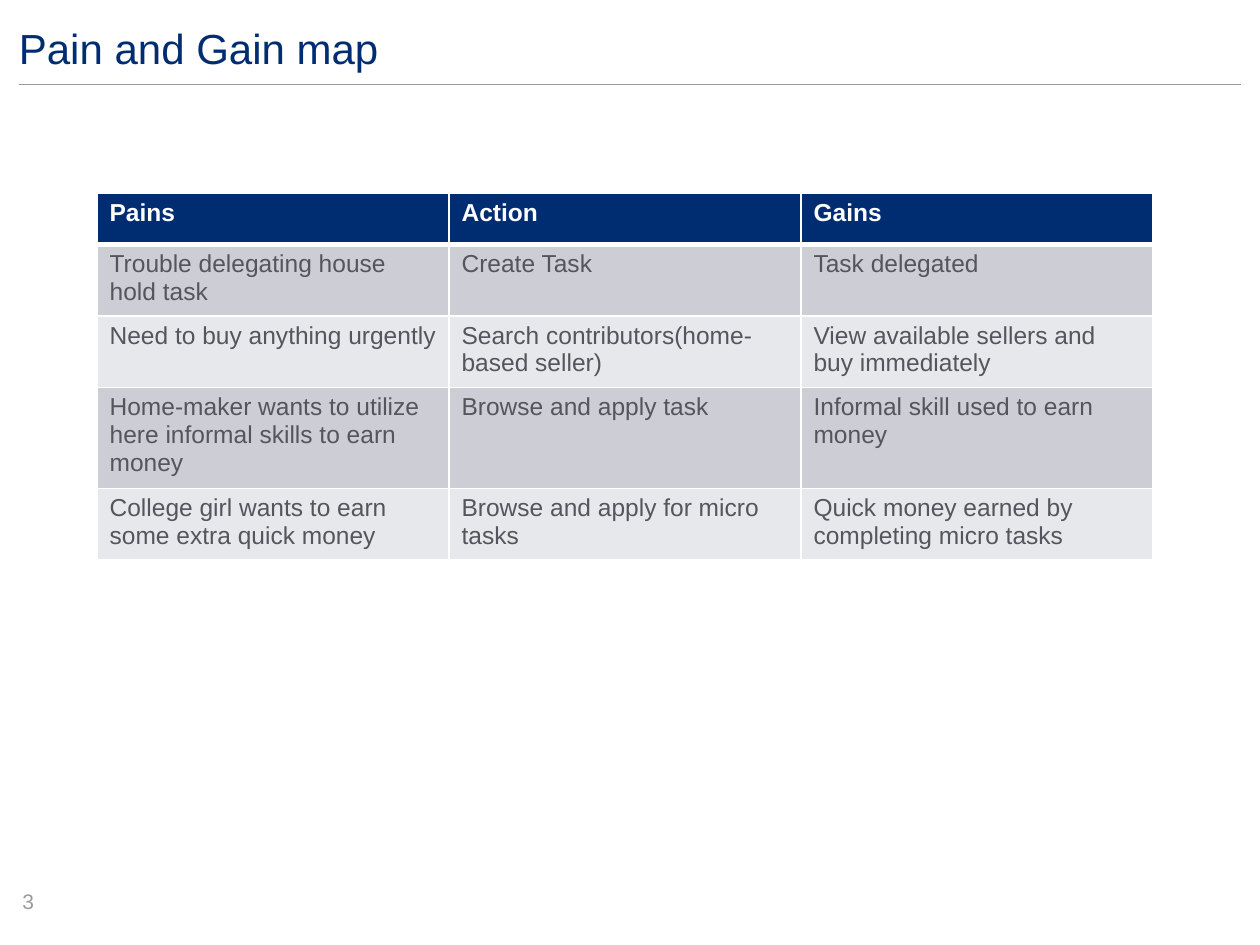
from dataclasses import dataclass
from pptx import Presentation
from pptx.dml.color import RGBColor
from pptx.enum.shapes import MSO_CONNECTOR as Connector
from pptx.enum.text import MSO_ANCHOR as Anchor, PP_ALIGN as Align
from pptx.oxml import parse_xml
from pptx.oxml.ns import nsdecls
from pptx.util import Inches, Pt


@dataclass(frozen=True)
class Theme:
    font: str = "Arial"
    navy: str = "002D72"
    white: str = "FFFFFF"
    body: str = "53565A"
    rule: str = "97999B"
    number: str = "999A9B"
    bands: tuple = ("CCCDD5", "E7E8EB")
    title_size: int = 24
    table_size: int = 14
    number_size: int = 12


THEME = Theme()
ROWS = [
    ("Pains", "Action", "Gains"),
    ("Trouble delegating house hold task", "Create Task", "Task delegated"),
    ("Need to buy anything urgently", "Search contributors(home-based seller)",
     "View available sellers and buy immediately"),
    ("Home-maker wants to utilize here informal skills to earn money",
     "Browse and apply task", "Informal skill used to earn money"),
    ("College girl wants to earn some extra quick money",
     "Browse and apply for micro tasks",
     "Quick money earned by completing micro tasks"),
]


def apply(target, values):
    for name, value in values.items():
        setattr(target, name, value)


def place(shape, box):
    names = ("left", "top", "width", "height")
    apply(shape, dict(zip(names, map(Inches, box))))


def write(frame, text, size, color, bold=False):
    para = frame.paragraphs[0]
    para.alignment = Align.LEFT
    span = para.add_run()
    span.text = text
    apply(span.font, {"name": THEME.font, "size": Pt(size), "bold": bold})
    span.font.color.rgb = RGBColor.from_string(color)


def add_heading(page, box):
    left, top, width, height = box
    title = page.shapes.title
    place(title, box)
    apply(title.text_frame, {
        "margin_left": 0, "margin_top": 0, "margin_right": 0,
        "margin_bottom": 0, "word_wrap": True,
        "vertical_anchor": Anchor.BOTTOM})
    write(title.text_frame, "Pain and Gain map", THEME.title_size, THEME.navy)
    level = Inches(top + height + 0.09)
    rule = page.shapes.add_connector(
        Connector.STRAIGHT, Inches(left), level, Inches(left + width), level)
    rule.line.color.rgb = RGBColor.from_string(THEME.rule)
    rule.line.width = Pt(0.5)
    rule._element.spPr.append(
        parse_xml(f"<a:effectLst {nsdecls('a')}/>"))


def set_borders(cell, widths):
    properties = cell._tc.get_or_add_tcPr()
    for index, (side, width) in enumerate(widths.items()):
        properties.insert(index, parse_xml(
            f'<a:ln{side} {nsdecls("a")} w="{Pt(width)}"><a:solidFill>'
            f'<a:srgbClr val="{THEME.white}"/></a:solidFill></a:ln{side}>'))


def add_map(page, box):
    frame = page.shapes.add_table(
        len(ROWS), len(ROWS[0]), *map(Inches, box))
    table = frame.table
    for row_index, row in enumerate(ROWS):
        header = row_index == 0
        fill = THEME.navy if header else THEME.bands[(row_index - 1) % 2]
        color = THEME.white if header else THEME.body
        borders = {"L": 1, "R": 1, "T": 3 if row_index == 1 else 1,
                   "B": 3 if header else 1}
        for column_index, text in enumerate(row):
            cell = table.cell(row_index, column_index)
            cell.fill.solid()
            cell.fill.fore_color.rgb = RGBColor.from_string(fill)
            set_borders(cell, borders)
            write(cell.text_frame, text, THEME.table_size, color, header)


def add_number(page, box):
    number = page.shapes.add_textbox(*map(Inches, box))
    apply(number.text_frame, {
        "word_wrap": True, "vertical_anchor": Anchor.MIDDLE})
    write(number.text_frame, "3", THEME.number_size, THEME.number)


def build_page(deck):
    page = deck.slides.add_slide(deck.slide_layouts[5])
    add_heading(page, (0.15, 0.17, 9.7, 0.41))
    add_number(page, (0.08, 6.95, 2.33, 0.4))
    add_map(page, (0.77, 1.53, 8.38, 2.05))


deck = Presentation()
apply(deck, {"slide_width": Inches(10), "slide_height": Inches(7.5)})
build_page(deck)
deck.save("out.pptx")
